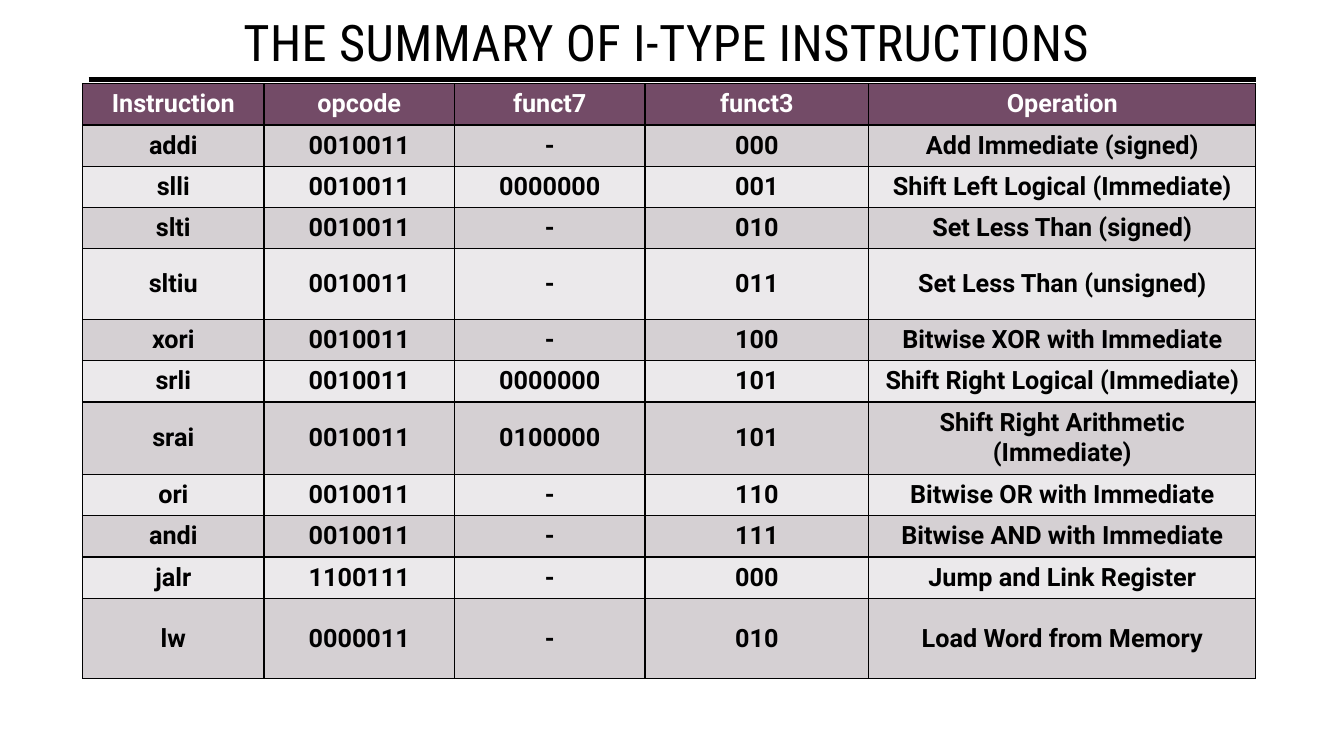
from lxml import etree
from pptx import Presentation
from pptx import util as u
from pptx.dml.color import RGBColor
from pptx.enum import shapes, text
from pptx.oxml.ns import qn

COLORS = {
    "ink": "000000",
    "header": "734B67",
    "header_text": "FFFFFF",
    "odd": "D5D0D3",
    "even": "EBE9EB",
}
COL_WIDTHS = [129.6, 136.1, 136.1, 159.8, 276.5]
ROW_HEIGHT = 29.5
TALL_ROWS = {"sltiu": 50.4, "srai": 51.8, "lw": 57.6}
ROWS = [
    ("Instruction", "opcode", "funct7", "funct3", "Operation"),
    ("addi", "0010011", "-", "000", "Add Immediate (signed)"),
    ("slli", "0010011", "0000000", "001", "Shift Left Logical (Immediate)"),
    ("slti", "0010011", "-", "010", "Set Less Than (signed)"),
    ("sltiu", "0010011", "-", "011", "Set Less Than (unsigned)"),
    ("xori", "0010011", "-", "100", "Bitwise XOR with Immediate"),
    ("srli", "0010011", "0000000", "101", "Shift Right Logical (Immediate)"),
    ("srai", "0010011", "0100000", "101", "Shift Right Arithmetic (Immediate)"),
    ("ori", "0010011", "-", "110", "Bitwise OR with Immediate"),
    ("andi", "0010011", "-", "111", "Bitwise AND with Immediate"),
    ("jalr", "1100111", "-", "000", "Jump and Link Register"),
    ("lw", "0000011", "-", "010", "Load Word from Memory"),
]


def rgb(name):
    return RGBColor.from_string(COLORS[name])


def write(tf, content, font, size, color, bold=False):
    tf.text = content
    tf.word_wrap = True
    p = tf.paragraphs[0]
    p.alignment = text.PP_ALIGN.CENTER
    r = p.runs[0]
    r.font.name = font
    r.font.size = u.Pt(size)
    r.font.bold = bold
    r.font.color.rgb = rgb(color)
    return r


def add_heading(slide, x, y, w, h):
    sp = slide.shapes.add_textbox(u.Pt(x), u.Pt(y), u.Pt(w), u.Pt(h))
    tf = sp.text_frame
    tf.vertical_anchor = text.MSO_ANCHOR.BOTTOM
    tf.margin_bottom = u.Pt(2.4)
    r = write(tf, "THE SUMMARY OF I-TYPE INSTRUCTIONS", "Roboto Condensed", 36, "ink")
    r.font._element.set("spc", "30")

    rule_y = u.Pt(y + h + 3.7)
    rule = slide.shapes.add_connector(
        shapes.MSO_CONNECTOR.STRAIGHT, u.Pt(x + 7.9), rule_y, u.Pt(x + w), rule_y)
    rule.line.color.rgb = rgb("ink")
    rule.line.width = u.Pt(3.5)
    etree.SubElement(rule._element.spPr, qn("a:effectLst"))


def add_borders(cell):
    props = cell._tc.get_or_add_tcPr()
    for i, side in enumerate(("a:lnL", "a:lnR", "a:lnT", "a:lnB")):
        ln = etree.Element(qn(side), w=str(u.Pt(1)))
        fill = etree.SubElement(ln, qn("a:solidFill"))
        etree.SubElement(fill, qn("a:srgbClr"), val=COLORS["ink"])
        props.insert(i, ln)


def add_instruction_table(slide, x, y):
    heights = [TALL_ROWS.get(row[0], ROW_HEIGHT) for row in ROWS]
    frame = slide.shapes.add_table(
        len(ROWS), len(COL_WIDTHS), u.Pt(x), u.Pt(y),
        u.Pt(sum(COL_WIDTHS)), u.Pt(sum(heights)))
    table = frame.table
    for column, width in zip(table.columns, COL_WIDTHS):
        column.width = u.Pt(width)
    for i, (row, height) in enumerate(zip(ROWS, heights)):
        table.rows[i].height = u.Pt(height)
        band = "header" if i == 0 else "odd" if i % 2 else "even"
        color = "header_text" if i == 0 else "ink"
        for j, value in enumerate(row):
            cell = table.cell(i, j)
            cell.fill.solid()
            cell.fill.fore_color.rgb = rgb(band)
            cell.vertical_anchor = text.MSO_ANCHOR.MIDDLE
            write(cell.text_frame, value, "Roboto", 18, color, bold=True)
            add_borders(cell)


def main():
    prs = Presentation()
    prs.slide_width = u.Pt(960)
    prs.slide_height = u.Pt(540)
    slide = prs.slides.add_slide(prs.slide_layouts[6])
    add_heading(slide, 55.4, 2.2, 841.7, 51.1)
    add_instruction_table(slide, 59, 59.8)
    prs.save("out.pptx")


if __name__ == "__main__":
    main()
